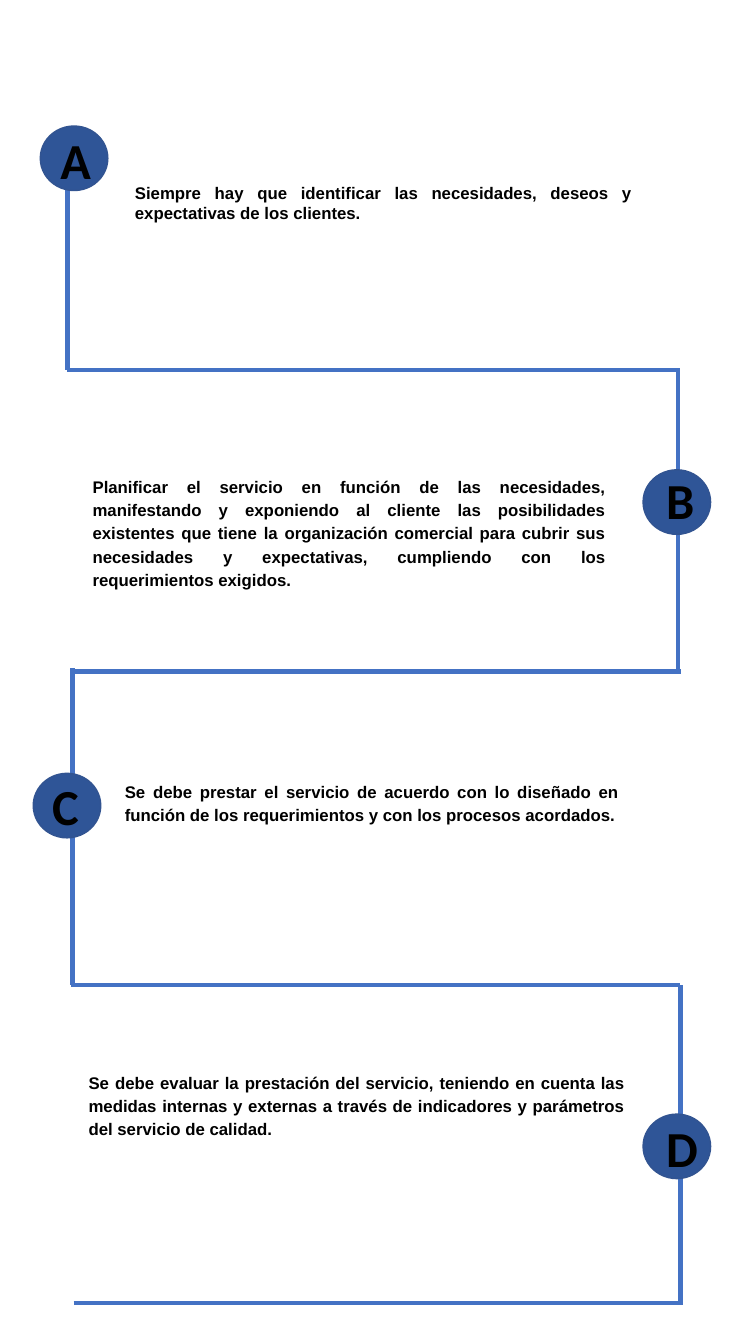
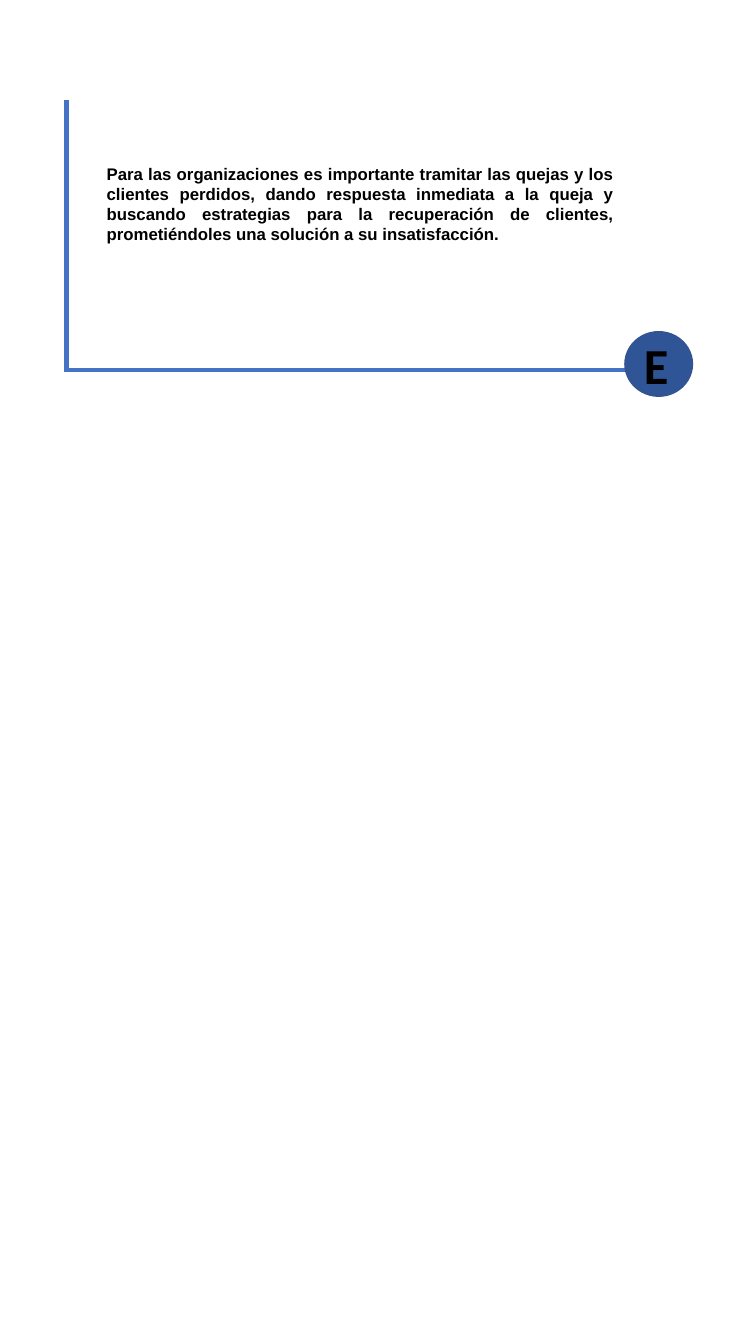
from pptx import Presentation
from pptx.dml.color import RGBColor
from pptx.enum.shapes import MSO_CONNECTOR, MSO_SHAPE
from pptx.enum.text import MSO_AUTO_SIZE, PP_ALIGN
from pptx.oxml.ns import qn
from pptx.util import Inches, Pt
from lxml import etree

STRAIGHT = MSO_CONNECTOR.STRAIGHT
OVAL = MSO_SHAPE.OVAL
JUSTIFY = PP_ALIGN.JUSTIFY
LEFT = PP_ALIGN.LEFT
GROW = MSO_AUTO_SIZE.SHAPE_TO_FIT_TEXT

PATH_BLUE = RGBColor(0x44, 0x72, 0xC4)
BADGE_FILL = RGBColor(0x2F, 0x55, 0x97)
BADGE_EDGE = RGBColor(0x32, 0x54, 0x91)
BLACK = RGBColor(0, 0, 0)

BADGE_SIZE = (0.67, 0.64)
LETTER_HEIGHT = 0.71
SPACED = (1.15, 12)   # line spacing, points before
PLAIN = (None, None)

# Content: path segments (x1, y1, x2, y2), then steps
# (letter, badge corner, letter corner, letter width, text, text box, spacing)
PAGES = [
    {
        "path": [
            (0.67, 1.8, 0.67, 3.67),
            (0.66, 3.67, 6.72, 3.67),
            (6.73, 3.65, 6.73, 6.67),
            (0.72, 6.63, 0.72, 9.77),
            (0.71, 6.66, 6.76, 6.66),
            (0.7, 9.77, 6.75, 9.77),
            (6.75, 9.77, 6.75, 12.91),
            (0.73, 12.92, 6.78, 12.92),
        ],
        "steps": [
            ("A", (0.4, 1.25), (0.5, 1.23), 0.67,
             "Siempre hay que identificar las necesidades, deseos y "
             "expectativas de los clientes. ",
             (1.24, 1.76, 5.13, 0.5), PLAIN),
            ("B", (6.38, 4.66), (6.51, 4.6), 0.67,
             "Planificar el servicio en función de las necesidades, "
             "manifestando y exponiendo al cliente las posibilidades "
             "existentes que tiene la organización comercial para cubrir "
             "sus necesidades y expectativas, cumpliendo con los "
             "requerimientos exigidos. ",
             (0.82, 4.65, 5.29, 1.24), SPACED),
            ("C", (0.33, 7.67), (0.42, 7.64), 0.64,
             "Se debe prestar el servicio de acuerdo con lo diseñado en "
             "función de los requerimientos y con los procesos acordados.",
             (1.14, 7.67, 5.1, 0.55), SPACED),
            ("D", (6.38, 11.05), (6.51, 11.03), 0.64,
             "Se debe evaluar la prestación del servicio, teniendo en "
             "cuenta las medidas internas y externas a través de "
             "indicadores y parámetros del servicio de calidad. ",
             (0.78, 10.56, 5.52, 0.78), SPACED),
        ],
    },
    {
        "path": [
            (0.66, 0.99, 0.66, 3.69),
            (0.66, 3.67, 6.72, 3.67),
        ],
        "steps": [
            ("E", (6.2, 3.29), (6.29, 3.26), 0.67,
             "Para las organizaciones es importante tramitar las quejas y "
             "los clientes perdidos, dando respuesta inmediata a la queja y "
             "buscando estrategias para la recuperación de clientes, "
             "prometiéndoles una solución a su insatisfacción. ",
             (0.96, 1.57, 5.23, 0.91), PLAIN),
        ],
    },
]


def inches(values):
    return [Inches(value) for value in values]


def add_segment(page, ends):
    segment = page.shapes.add_connector(STRAIGHT, *inches(ends))
    segment.line.color.rgb = PATH_BLUE
    segment.line.width = Pt(3)
    etree.SubElement(segment._element.spPr, qn("a:effectLst"))


def add_badge(page, corner):
    badge = page.shapes.add_shape(OVAL, *inches(corner + BADGE_SIZE))
    badge.shadow.inherit = False
    badge.fill.solid()
    badge.fill.fore_color.rgb = BADGE_FILL
    badge.line.color.rgb = BADGE_EDGE
    badge.line.width = Pt(1)


def add_text(page, text, place, font_name, size, align=LEFT, spacing=PLAIN):
    box = page.shapes.add_textbox(*inches(place))
    frame = box.text_frame
    frame.word_wrap = True
    frame.auto_size = GROW
    para = frame.paragraphs[0]
    para.text = text
    para.alignment = align
    line_spacing, before = spacing
    if line_spacing:
        para.line_spacing = line_spacing
        para.space_before = Pt(before)
    para.font.name = font_name
    para.font.size = Pt(size)
    para.font.bold = True
    para.font.color.rgb = BLACK


deck = Presentation()
deck.slide_width, deck.slide_height = Inches(7.5), Inches(13.33)
blank = deck.slide_layouts[6]

for content in PAGES:
    page = deck.slides.add_slide(blank)
    # Winding path below the badges
    for ends in content["path"]:
        add_segment(page, ends)
    # Lettered steps
    for letter, badge_at, letter_at, width, text, place, spacing in content["steps"]:
        add_badge(page, badge_at)
        add_text(page, letter, letter_at + (width, LETTER_HEIGHT), "Calibri", 36)
        add_text(page, text, place, "Arial", 12, JUSTIFY, spacing)

deck.save("out.pptx")
